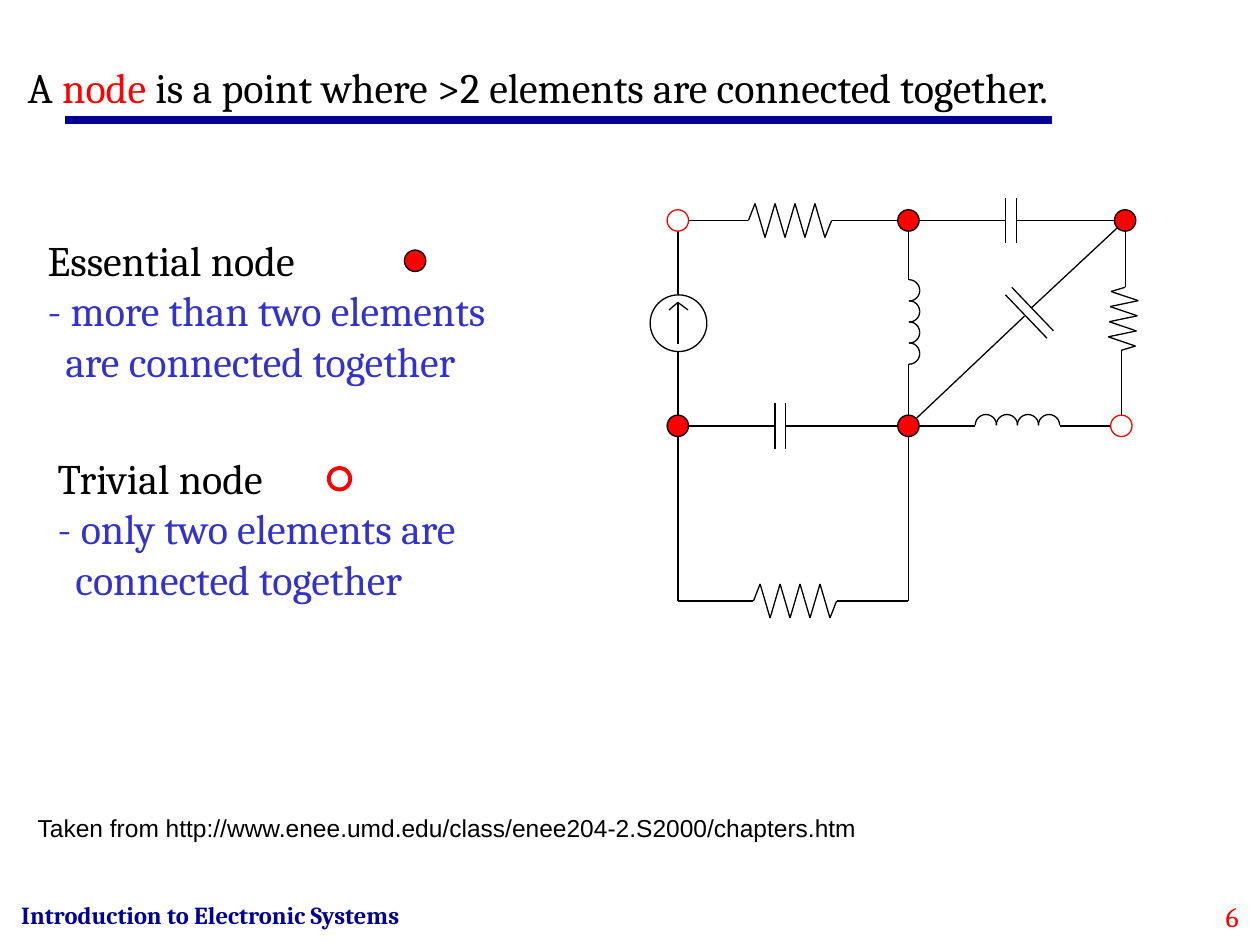
import math
import pptx
import pptx.util
import pptx.dml.color
import pptx.enum.shapes
import pptx.enum.text
import pptx.oxml.ns
from lxml import etree

RED, BLACK, WHITE, NAVY, BLUE = "FF0000", "000000", "FFFFFF", "000099", "3333CC"
DOT = 1.7
KIND = pptx.enum.shapes.MSO_SHAPE
ALIGN = pptx.enum.text.PP_ALIGN


def cell(n):
    """Length of n grid cells; the slide is 100 columns by 75 rows."""
    return pptx.util.Inches(n / 10)


def color(text):
    return pptx.dml.color.RGBColor.from_string(text)


def write(frame, rows, size, face="Cambria", bold=False, align=ALIGN.LEFT):
    """Fill a frame; each row is an indent in cells and a list of (text, colour)."""
    frame.word_wrap = True
    for i, (dent, runs) in enumerate(rows):
        para = frame.paragraphs[0] if i == 0 else frame.add_paragraph()
        para.alignment = align
        if dent:
            para._p.get_or_add_pPr().set("marL", str(cell(dent)))
        for text, tint in runs:
            run = para.add_run()
            run.text = text
            run.font.size = pptx.util.Pt(size)
            run.font.name = face
            run.font.bold = bold
            run.font.color.rgb = color(tint)


def label(slide, box, rows, size, **look):
    area = slide.shapes.add_textbox(*map(cell, box))
    write(area.text_frame, rows, size, **look)


def wire(slide, *points, tint=BLACK, wide=0.75):
    """Join the points in turn with straight lines."""
    for a, b in zip(points, points[1:]):
        line = slide.shapes.add_connector(
            pptx.enum.shapes.MSO_CONNECTOR.STRAIGHT, *map(cell, (*a, *b)))
        line.line.color.rgb = color(tint)
        line.line.width = pptx.util.Pt(wide)
        etree.SubElement(line._element.spPr, pptx.oxml.ns.qn("a:effectLst"))


def round_(slide, x, y, size, fill=None, tint=BLACK, wide=0.75, kind=KIND.OVAL):
    shape = slide.shapes.add_shape(kind, *map(cell, (x, y, size, size)))
    shape.shadow.inherit = False
    if fill:
        shape.fill.solid()
        shape.fill.fore_color.rgb = color(fill)
    else:
        shape.fill.background()
    shape.line.color.rgb = color(tint)
    shape.line.width = pptx.util.Pt(wide)
    return shape


def coil(slide, x, y, dx, dy, start):
    """Four half loops, each of two quarter arcs from the start angle."""
    for i in range(4):
        for turn in (start, start + 90):
            arc = round_(slide, x + i * dx, y + i * dy, DOT, kind=KIND.ARC)
            arc.adjustments[0] = turn % 360 * 0.6
            arc.adjustments[1] = (turn + 90) % 360 * 0.6


def resist(slide, a, b, amp):
    """Zigzag of eight peaks from a to b."""
    dx, dy = b[0] - a[0], b[1] - a[1]
    span = math.hypot(dx, dy)
    peaks = []
    for i in range(8):
        part = 0.08 + 0.12 * i
        side = amp / span * (-1) ** i
        peaks.append((a[0] + dx * part + dy * side, a[1] + dy * part - dx * side))
    wire(slide, a, *peaks, b)


def circuit(slide, x, y, w, h):
    """Circuit whose outer nodes lie on the corners of the box."""
    mid, low = x + 18.3, y + 16.3
    right, base = x + w, y + h
    foot = right - 0.3

    # left branch with current source
    round_(slide, x - 2.2, y + 5.9, 4.5)
    wire(slide, (x, y), (x, y + 5.8))
    wire(slide, (x, y + 6.5), (x, y + 9.8))
    wire(slide, (x - 0.7, y + 7.1), (x, y + 6.5), (x + 0.8, y + 7.1))
    wire(slide, (x, y + 10.4), (x, base))

    # resistors along the top and the base
    for row, lead in ((y, 5.6), (base, 6)):
        a, b = (x + lead, row), (x + lead + 6.6, row)
        wire(slide, (x, row), a)
        resist(slide, a, b, 1.35)
        wire(slide, b, (mid, row))

    # middle branch with coil
    wire(slide, (mid, y), (mid, y + 4.7))
    coil(slide, mid - 0.8, y + 4.7, 0, 1.67, 270)
    wire(slide, (mid, y + 11.4), (mid, base))

    # upright capacitors
    for a, b, row, plate in ((mid, right, y, x + 26), (x, mid, low, x + 7.7)):
        wire(slide, (a, row), (plate, row))
        wire(slide, (plate + 0.85, row), (b, row))
        for col in (plate, plate + 0.85):
            wire(slide, (col, row - 1.8), (col, row + 1.8))

    # slanted capacitor
    wire(slide, (right, y), (x + 28.1, y + 6.9))
    wire(slide, (x + 27.5, y + 7.6), (mid, low))
    for col, row in ((x + 26.5, y + 5.3), (x + 26, y + 5.9)):
        wire(slide, (col, row), (col + 3.3, row + 3.45))

    # right branch with resistor, then coil back to the middle
    top, end = (right, y + 5.3), (foot, y + 10.3)
    wire(slide, (right, y), top)
    resist(slide, top, end, -1.1)
    wire(slide, end, (foot, low))
    wire(slide, (mid, low), (x + 23.6, low))
    coil(slide, x + 23.6, low - 0.9, 1.67, 0, 180)
    wire(slide, (x + 30.3, low), (foot, low))

    for col, row in ((mid, y), (x, low), (mid, low), (right, y)):
        round_(slide, col - DOT / 2, row - DOT / 2, DOT, RED)
    for col, row in ((x, y), (foot, low)):
        round_(slide, col - DOT / 2, row - DOT / 2, DOT, WHITE, RED)


def entry(slide, x, y, w, name, lines, gap, **dot):
    """Name of a node type, its meaning in two lines and its mark."""
    rows = [(0, [(name, BLACK)]), (0, [(lines[0], BLUE)]), (1.4, [(lines[1], BLUE)])]
    label(slide, (x, y, w, 13), rows, 24)
    round_(slide, x + gap, y + 1.75, DOT, **dot)


def head(slide, x, y, w, h):
    title = slide.shapes.title
    title.left, title.top, title.width, title.height = map(cell, (x, y, w, h))
    frame = title.text_frame
    frame.auto_size = pptx.enum.text.MSO_AUTO_SIZE.NONE
    frame.vertical_anchor = pptx.enum.text.MSO_ANCHOR.MIDDLE
    write(frame, [(0, [
        ("A ", BLACK), ("node", RED),
        (" is a point where >2 elements are connected together.", BLACK)])], 24)
    wire(slide, (x + 4, y + 5.4), (x + 82.3, y + 5.4), tint=NAVY, wide=4.5)


def foot(slide, x, y, w):
    label(slide, (x, y, 38.5, 2.7),
          [(0, [("Introduction to Electronic Systems", NAVY)])], 14, bold=True)
    label(slide, (x + w - 6.7, y, 6.7, 3.4), [(0, [("6", RED)])], 16, align=ALIGN.RIGHT)


def main():
    deck = pptx.Presentation()
    deck.slide_width, deck.slide_height = cell(100), cell(75)
    slide = deck.slides.add_slide(deck.slide_layouts[5])
    head(slide, 1.2, 4.1, 91.5, 5.5)
    entry(slide, 3.6, 35.4, 41.1, "Trivial node",
          ("- only two elements are", "connected together"), 22.5, tint=RED, wide=2.25)
    entry(slide, 2.8, 18.1, 39.6, "Essential node",
          ("- more than two elements", "are connected together"), 29.3, fill=RED)
    circuit(slide, 53.8, 17.5, 35.5, 30.2)
    label(slide, (2, 64, 95.1, 3.4), [(0, [(
        "Taken from http://www.enee.umd.edu/class/enee204-2.S2000/chapters.htm",
        BLACK)])], 14, face="Arial")
    foot(slide, 0.7, 70.9, 98.6)
    deck.save("out.pptx")


if __name__ == "__main__":
    main()
